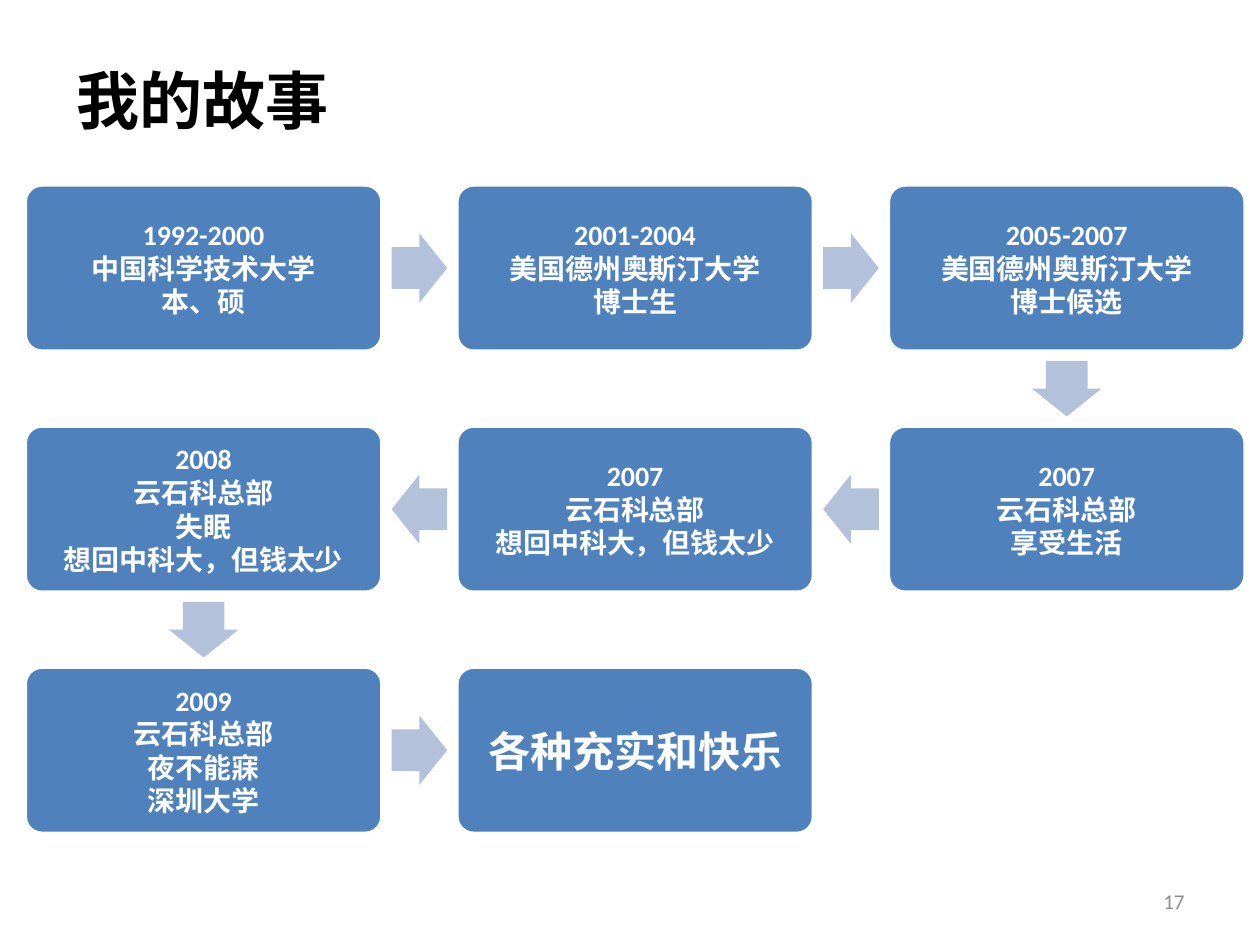
"""Build the slide that tells a career story as a winding chain of boxes."""
from dataclasses import dataclass
from typing import Any

from pptx import Presentation
from pptx.dml.color import RGBColor
from pptx.enum.shapes import MSO_SHAPE
from pptx.enum.text import MSO_ANCHOR, MSO_AUTO_SIZE, PP_ALIGN
from pptx.util import Cm, Pt


@dataclass(frozen=True)
class Theme:
    font: str = "Calibri"
    box: RGBColor = RGBColor(0x4F, 0x81, 0xBD)
    arrow: RGBColor = RGBColor(0xB3, 0xC1, 0xDB)
    white: RGBColor = RGBColor(0xFF, 0xFF, 0xFF)
    black: RGBColor = RGBColor(0, 0, 0)
    grey: RGBColor = RGBColor(0x8C, 0x8C, 0x8C)
    head: int = 36
    body: int = 16
    large: int = 24
    small: int = 12


@dataclass(frozen=True)
class Grid:
    left: float = 0.51
    top: float = 3.73
    wide: float = 7.19
    high: float = 3.35
    step: float = 8.7
    drop: float = 4.86
    cols: int = 3

    def cell(self, num: int) -> tuple[float, float]:
        """Return the centre of a cell, with every second row running back."""
        row, col = divmod(num, self.cols)
        if row % 2:
            col = self.cols - 1 - col
        return (self.left + col * self.step + self.wide / 2,
                self.top + row * self.drop + self.high / 2)


@dataclass(frozen=True)
class Stage:
    lines: tuple[str, ...]
    size: int
    inset: float = 0.28


THEME = Theme()
GRID = Grid()
STAGES = (
    Stage(("1992-2000", "中国科学技术大学", "本、硕"), THEME.body),
    Stage(("2001-2004", "美国德州奥斯汀大学", "博士生"), THEME.body),
    Stage(("2005-2007", "美国德州奥斯汀大学", "博士候选"), THEME.body),
    Stage(("2007", "云石科总部", "享受生活"), THEME.body),
    Stage(("2007", "云石科总部", "想回中科大，但钱太少"), THEME.body),
    Stage(("2008", "云石科总部", "失眠", "想回中科大，但钱太少"), THEME.body),
    Stage(("2009", "云石科总部", "夜不能寐", "深圳大学"), THEME.body),
    Stage(("各种充实和快乐",), THEME.large, 0.36),
)


def write(shape: Any, *lines: str, size: int, color: RGBColor,
          bold: bool = True, align: PP_ALIGN = PP_ALIGN.CENTER,
          inset: float = 0.25) -> None:
    """Fill a shape with one paragraph per line."""
    frame = shape.text_frame
    frame.word_wrap = True
    frame.auto_size = MSO_AUTO_SIZE.NONE
    frame.vertical_anchor = MSO_ANCHOR.MIDDLE
    frame.margin_left = frame.margin_right = Cm(inset)
    frame.margin_top = frame.margin_bottom = Cm(min(inset, 0.28))
    frame.text = "\n".join(lines)
    for para in frame.paragraphs:
        para.alignment = align
        for run in para.runs:
            font = run.font
            font.name, font.size, font.bold = THEME.font, Pt(size), bold
            font.color.rgb = color


def place(shapes: Any, kind: MSO_SHAPE, mid: tuple[float, float],
          wide: float, high: float, fill: RGBColor) -> Any:
    """Add a flat preset shape around a centre point."""
    shape = shapes.add_shape(kind, Cm(mid[0] - wide / 2), Cm(mid[1] - high / 2),
                             Cm(wide), Cm(high))
    shape.shadow.inherit = False
    shape.fill.solid()
    shape.fill.fore_color.rgb = fill
    shape.line.fill.background()
    return shape


def draw_box(shapes: Any, num: int, stage: Stage) -> None:
    """Draw one stage of the story."""
    box = place(shapes, MSO_SHAPE.ROUNDED_RECTANGLE, GRID.cell(num),
                GRID.wide, GRID.high, THEME.box)
    box.adjustments[0] = 0.1
    box.line.color.rgb = THEME.white
    box.line.width = Pt(2)
    write(box, *stage.lines, size=stage.size, color=THEME.white,
          inset=stage.inset)


def draw_arrow(shapes: Any, num: int) -> None:
    """Draw the arrow from a stage to the one after it."""
    (x1, y1), (x2, y2) = GRID.cell(num), GRID.cell(num + 1)
    arrow = place(shapes, MSO_SHAPE.RIGHT_ARROW, ((x1 + x2) / 2, (y1 + y2) / 2),
                  1.12, 1.4, THEME.arrow)
    arrow.adjustments[0] = 0.6
    arrow.adjustments[1] = 0.5
    arrow.rotation = 90 if y2 > y1 else 0 if x2 > x1 else 180


def main() -> None:
    """Build and save the slide."""
    deck = Presentation()
    deck.slide_width, deck.slide_height = Cm(25.4), Cm(19.05)
    slide = deck.slides.add_slide(deck.slide_layouts[5])
    shapes = slide.shapes

    title = shapes.title
    title.left, title.top = Cm(1.3), Cm(1.12)
    title.width, title.height = Cm(22.86), Cm(1.75)
    write(title, "我的故事", size=THEME.head, color=THEME.black,
          align=PP_ALIGN.LEFT)

    for num, stage in enumerate(STAGES):
        if num:
            draw_arrow(shapes, num - 1)
        draw_box(shapes, num, stage)

    page = shapes.add_textbox(Cm(18.2), Cm(17.65), Cm(5.93), Cm(1.02))
    write(page, "17", size=THEME.small, color=THEME.grey, bold=False,
          align=PP_ALIGN.RIGHT)
    deck.save("out.pptx")


if __name__ == "__main__":
    main()
